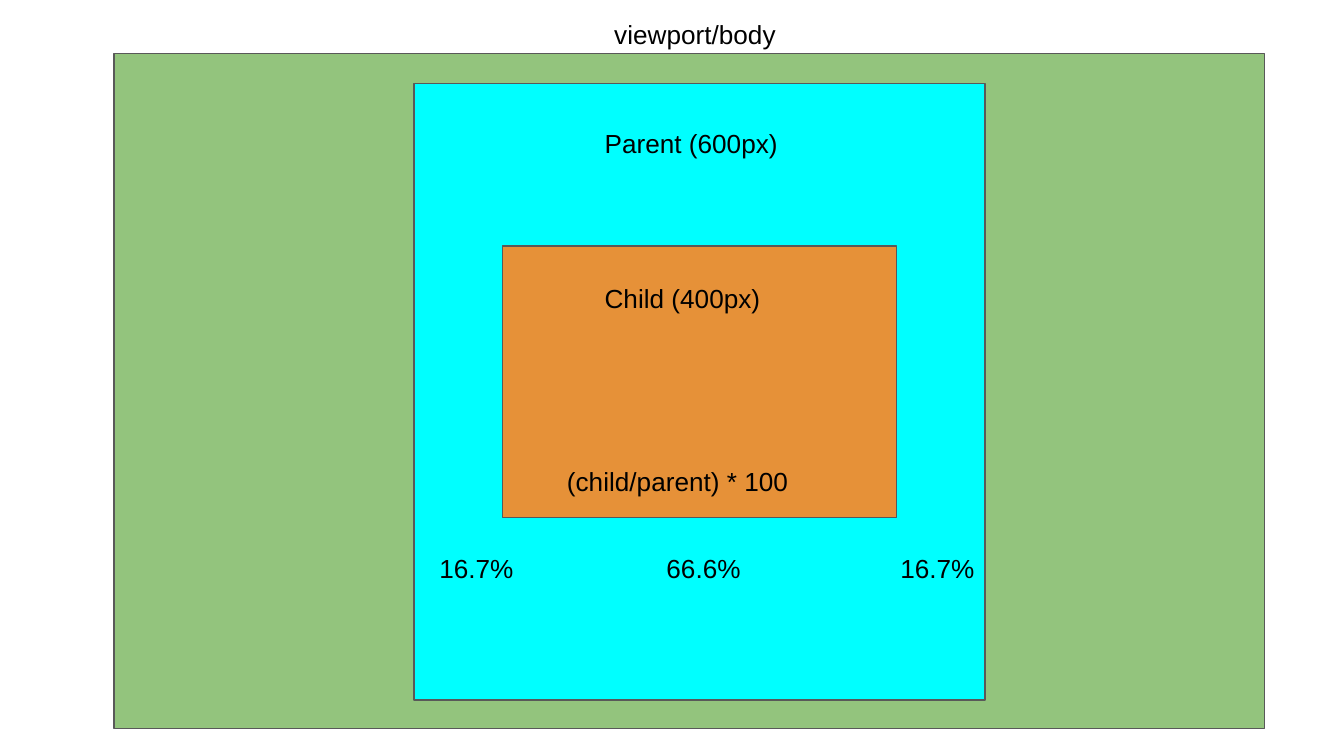
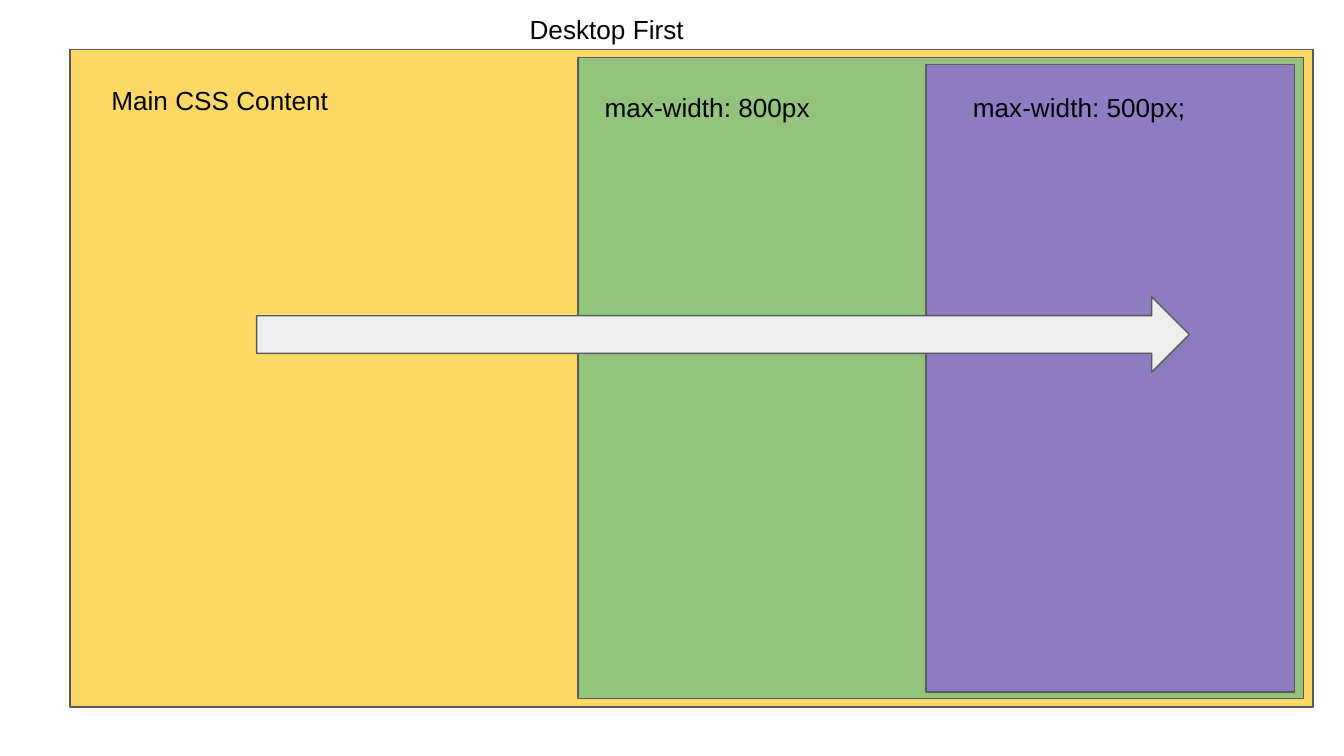
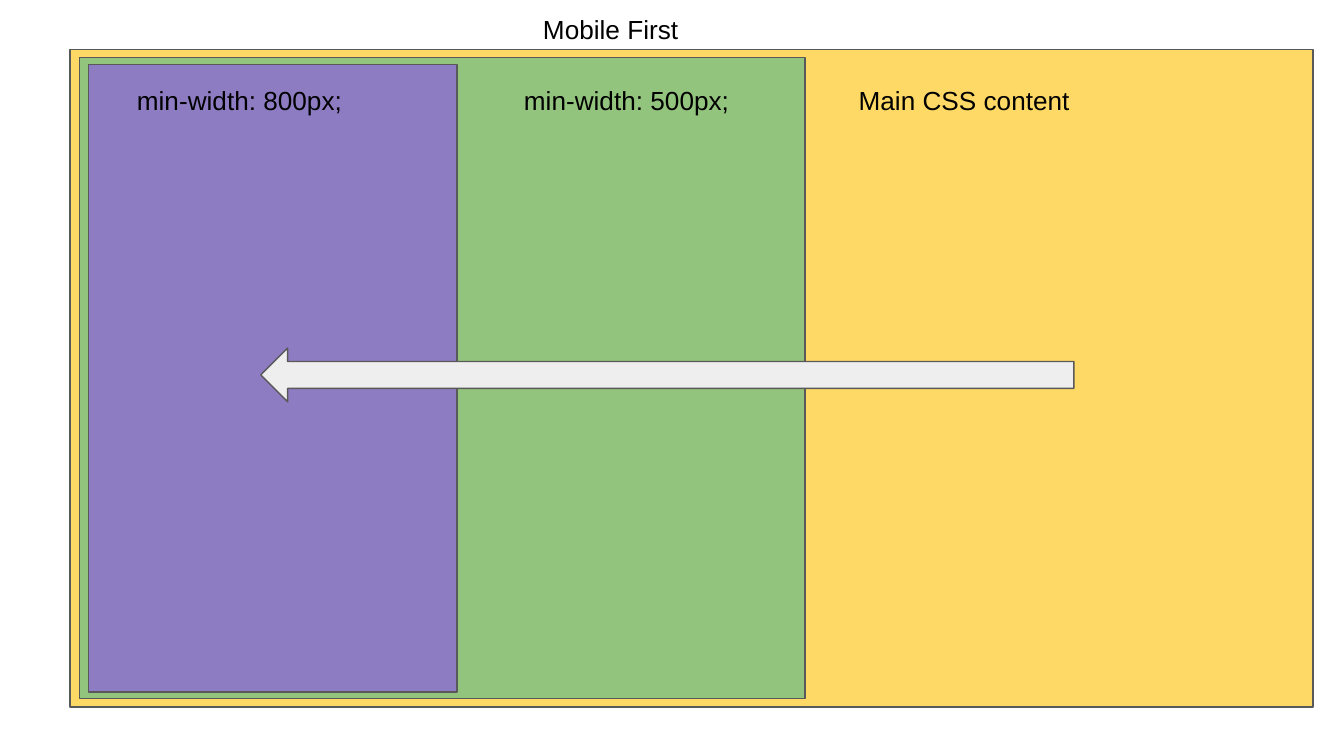
"""Build three slides on nested boxes and responsive CSS breakpoints."""
from lxml import etree
from pptx import Presentation
from pptx.dml.color import RGBColor
from pptx.enum import shapes, text
from pptx.oxml import ns
from pptx.util import Inches, Pt

COLORS = {
    "green": "93C47D", "cyan": "00FFFF", "orange": "E69138", "yellow": "FFD966",
    "purple": "8E7CC3", "gray": "EEEEEE", "line": "595959", "text": "000000",
}
FONT, SIZE = "Arial", 14
LABEL_W, LABEL_H = 4.15, 0.48
BOX_LABEL_W, BOX_LABEL_H = 4.22, 0.49

BOXES = [
    ("green", 0.85, 0.4, 8.56, 5.02),
    ("cyan", 3.08, 0.62, 4.25, 4.59),
    ("orange", 3.74, 1.83, 2.93, 2.02),
]
BOX_LABELS = [
    ("Child (400px)", 4.4, 2),
    ("Parent (600px)", 4.4, 0.85),
    ("(child/parent) * 100", 4.12, 3.36),
]
SHARES = ("16.7%", "66.6%", "16.7%")
SHARE_TABS = (1.69, 3.43)

PANELS = [("yellow", 9.25, 4.89), ("green", 5.4, 4.77), ("purple", 2.74, 4.67)]
PANEL_LEFT, PANEL_TOP, INSET = 0.52, 0.37, 0.07
BREAKPOINTS = [
    {
        "title": ("Desktop First", 3.84),
        "side": "right",
        "labels": [
            ("Main CSS Content", 0.73, 0.53),
            ("max-width: 800px", 4.4, 0.58),
            ("max-width: 500px;", 7.14, 0.58),
        ],
        "arrow": (1.91, 2.21, 6.94, 0.56),
    },
    {
        "title": ("Mobile First", 3.94),
        "side": "left",
        "labels": [
            ("Main CSS content", 6.29, 0.53),
            ("min-width: 500px;", 3.8, 0.53),
            ("min-width: 800px;", 0.92, 0.53),
        ],
        "arrow": (1.94, 2.59, 6.05, 0.4),
    },
]


def rgb(name):
    return RGBColor.from_string(COLORS[name])


def write(sp, words):
    tf = sp.text_frame
    tf.text = words
    tf.word_wrap = True
    tf.auto_size = text.MSO_AUTO_SIZE.NONE
    tf.vertical_anchor = text.MSO_ANCHOR.TOP
    tf.margin_left = tf.margin_right = tf.margin_top = tf.margin_bottom = Inches(0.1)
    p = tf.paragraphs[0]
    p.alignment = text.PP_ALIGN.LEFT
    for r in p.runs:
        r.font.name, r.font.size = FONT, Pt(SIZE)
        r.font.color.rgb = rgb("text")
    return p


def add_label(s, words, x, y, w=LABEL_W, h=LABEL_H):
    sp = s.shapes.add_textbox(*map(Inches, (x, y, w, h)))
    write(sp, words)
    return sp


def add_block(s, color, x, y, w, h, kind=shapes.MSO_SHAPE.RECTANGLE):
    sp = s.shapes.add_shape(kind, *map(Inches, (x, y, w, h)))
    sp.shadow.inherit = False
    sp.fill.solid()
    sp.fill.fore_color.rgb = rgb(color)
    sp.line.color.rgb = rgb("line")
    sp.line.width = Pt(0.75)


def add_slide(prs, title, x, y=0):
    s = prs.slides.add_slide(prs.slide_layouts.get_by_name("Title Only"))
    sp = s.shapes.title
    sp.left, sp.top, sp.width, sp.height = map(Inches, (x, y, LABEL_W, LABEL_H))
    write(sp, title)
    return s


def add_box_model(prs):
    s = add_slide(prs, "viewport/body", 4.47, 0.04)
    for box in BOXES:
        add_block(s, *box)
    for label in BOX_LABELS:
        add_label(s, *label, BOX_LABEL_W, BOX_LABEL_H)
    sp = add_label(s, "\t".join(SHARES), 3.17, 4.01, BOX_LABEL_W, BOX_LABEL_H)
    sp.text_frame.word_wrap = True
    sp.text_frame.margin_right = 0
    tabs = etree.SubElement(sp.text_frame.paragraphs[0]._p.get_or_add_pPr(), ns.qn("a:tabLst"))
    for pos in SHARE_TABS:
        etree.SubElement(tabs, ns.qn("a:tab"), pos=str(Inches(pos)), algn="l")


def add_breakpoints(prs, content):
    s = add_slide(prs, *content["title"])
    to_right = content["side"] == "right"
    full_w, full_h = PANELS[0][1:]
    for i, (color, w, h) in enumerate(PANELS):
        shift = full_w - w - i * INSET if to_right else i * INSET
        add_block(s, color, PANEL_LEFT + shift, PANEL_TOP + (full_h - h) / 2, w, h)
    for label in content["labels"]:
        add_label(s, *label)
    kind = shapes.MSO_SHAPE.RIGHT_ARROW if to_right else shapes.MSO_SHAPE.LEFT_ARROW
    add_block(s, "gray", *content["arrow"], kind=kind)


prs = Presentation()
prs.slide_width = Inches(10)
prs.slide_height = prs.slide_width * 9 // 16
add_box_model(prs)
for content in BREAKPOINTS:
    add_breakpoints(prs, content)
prs.save("out.pptx")
